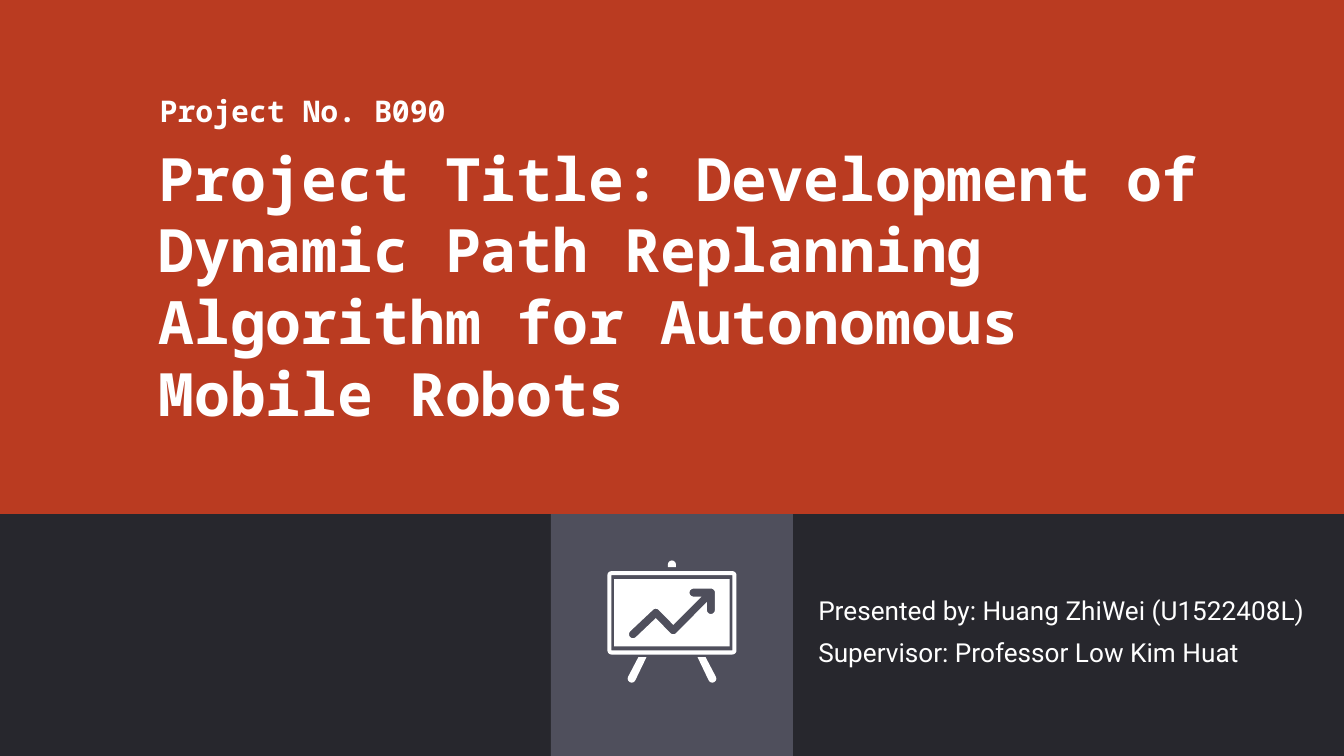
"""Builds the title slide of a project presentation."""
from math import cos, radians, sin

from pptx import Presentation
from pptx.dml.color import RGBColor
from pptx.enum.shapes import MSO_SHAPE
from pptx.enum.text import MSO_ANCHOR
from pptx.util import Inches, Pt

RECTANGLE = MSO_SHAPE.RECTANGLE
TOP, MIDDLE = MSO_ANCHOR.TOP, MSO_ANCHOR.MIDDLE

WIDTH = 10
HEIGHT = WIDTH * 9 / 16
BAND = 1.8
RED, DARK, GREY, WHITE = "BA3B21", "27272D", "4F4F5C", "FFFFFF"

HEADING = {"name": "Noto Sans Mono", "bold": True}
TEXTS = [
    ((1.08, 0.21, 8.28, 3.82), MIDDLE, {**HEADING, "size": Pt(32)},
     ["Project Title: Development of Dynamic Path Replanning "
      "Algorithm for Autonomous Mobile Robots"]),
    ((1.09, 0.59, 3.53, 0.86), TOP, {**HEADING, "size": Pt(16)},
     ["Project No. B090"]),
    ((5.99, 4.32, 4.03, 0.93), TOP, {"name": "Roboto", "size": Pt(14)},
     ["Presented by: Huang ZhiWei (U1522408L)",
      "Supervisor: Professor Low Kim Huat"]),
]


def color(value):
    return RGBColor.from_string(value)


def paint(shape, fill):
    shape.fill.solid()
    shape.fill.fore_color.rgb = color(fill)
    shape.line.fill.background()
    shape.shadow.inherit = False


def arc(x, y, start, end, radius=0.03, steps=6):
    angles = [radians(start + (end - start) * i / steps) for i in range(steps + 1)]
    return [(x + radius * cos(a), y + radius * sin(a)) for a in angles]


def frame(left, top, right, bottom):
    return [(left, top), (right, top), (right, bottom), (left, bottom)]


def mirror(points):
    return [(WIDTH - x, y) for x, y in points]


def draw_outline(page, contours):
    scaled = [[(Inches(x), Inches(y)) for x, y in contour] for contour in contours]
    builder = page.shapes.build_freeform(*scaled[0][0])
    for number, contour in enumerate(scaled):
        if number:
            builder.move_to(*contour[0])
        builder.add_line_segments(contour[1:], close=True)
    paint(builder.convert_to_shape(), WHITE)


def add_band(page, left, width, fill):
    box = (left, HEIGHT - BAND, width, BAND)
    paint(page.shapes.add_shape(RECTANGLE, *map(Inches, box)), fill)


def add_text(page, place, anchor, font, lines):
    box = page.shapes.add_textbox(*map(Inches, place))
    layout = {"word_wrap": True, "vertical_anchor": anchor}
    for side in ("left", "top", "right", "bottom"):
        layout["margin_" + side] = Inches(0.1)
    for name, value in layout.items():
        setattr(box.text_frame, name, value)
    for number, line in enumerate(lines):
        para = box.text_frame.add_paragraph() if number else box.text_frame.paragraphs[0]
        if number:
            para.space_before = Pt(6)
        span = para.add_run()
        span.text = line
        for name, value in font.items():
            setattr(span.font, name, value)
        span.font.color.rgb = color(WHITE)


def add_easel(page):
    rim = (arc(4.55, 4.28, 180, 270) + arc(5.45, 4.28, 270, 360)
           + arc(5.45, 4.84, 0, 90) + arc(4.55, 4.84, 90, 180))
    knob = arc(5, 4.2, 180, 360) + [(5.03, 4.22), (4.97, 4.22)]
    leg = [(4.75, 4.89)] + arc(4.7, 5.05, 207, 27) + [(4.81, 4.89)]
    arrow = (arc(5.29, 4.41, -90, 0) + arc(5.29, 4.54, 0, 180) + [(5.26, 4.48)]
             + arc(5.01, 4.69, 45, 135) + [(4.88, 4.6)]
             + arc(4.71, 4.72, 45, 225) + arc(4.88, 4.56, 225, 315)
             + [(5.01, 4.65), (5.22, 4.44)] + arc(5.16, 4.41, 90, 270))
    board = frame(4.57, 4.31, 5.43, 4.81)
    opening = frame(4.55, 4.28, 5.45, 4.84)
    for contours in ([rim, opening], [knob], [leg], [mirror(leg)], [board, arrow]):
        draw_outline(page, contours)


def main():
    deck = Presentation()
    deck.slide_width, deck.slide_height = Inches(WIDTH), Inches(HEIGHT)
    page = deck.slides.add_slide(deck.slide_layouts[6])
    page.background.fill.solid()
    page.background.fill.fore_color.rgb = color(RED)
    add_band(page, 0, WIDTH, DARK)
    add_band(page, (WIDTH - BAND) / 2, BAND, GREY)
    add_easel(page)
    for text in TEXTS:
        add_text(page, *text)
    deck.save("out.pptx")


if __name__ == "__main__":
    main()
